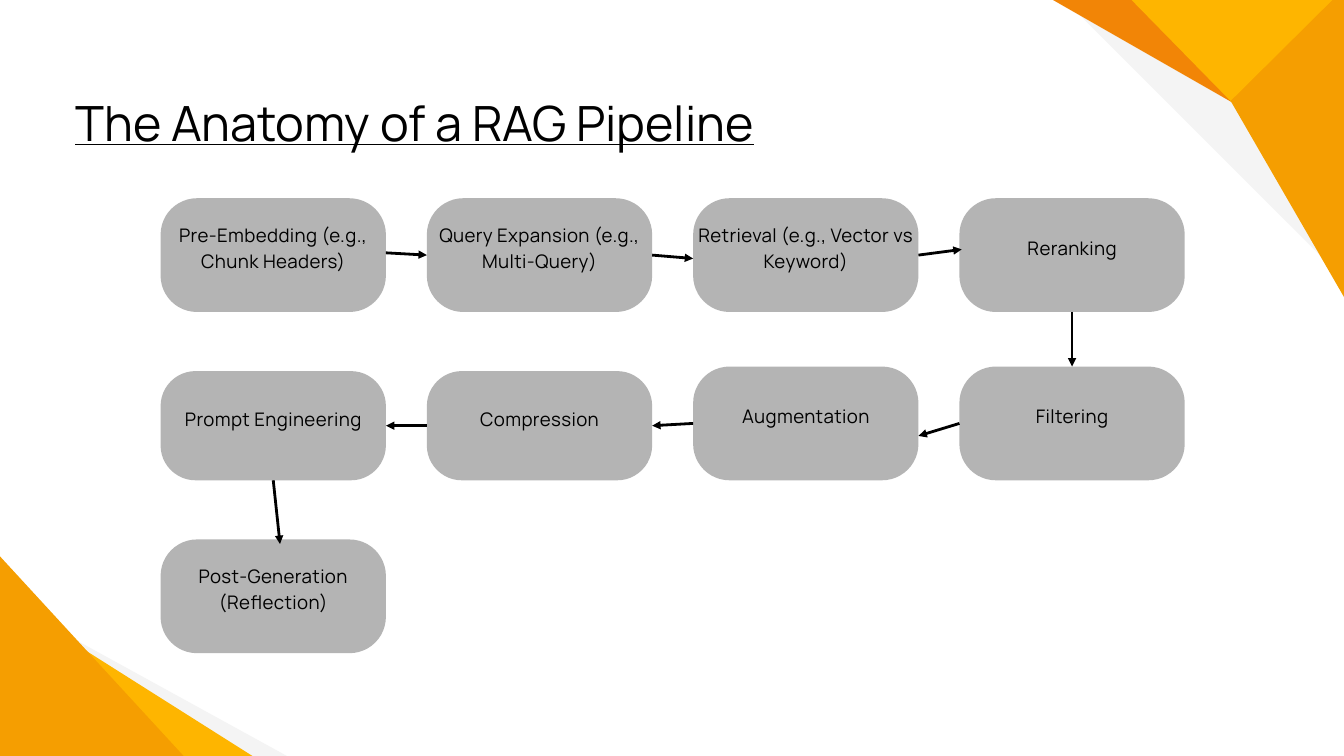
from collections import namedtuple
from lxml.etree import SubElement
from pptx import Presentation
from pptx.dml.color import RGBColor
from pptx.enum.shapes import MSO_CONNECTOR, MSO_SHAPE
from pptx.enum.text import MSO_ANCHOR, MSO_AUTO_SIZE, PP_ALIGN
from pptx.oxml.ns import qn
from pptx.util import Inches, Pt

WIDTH, HEIGHT = Inches(20), Inches(11.25)
FONT = "Manrope"
BLACK, NODE_GREY = "000000", "B4B4B4"
PALE, AMBER, ORANGE, RUST = "F4F4F4", "FEB500", "F59E01", "F28506"

TOP_RIGHT = [
    (PALE, [(0.04, 0), (1, 0), (1, 0.94)]),
    (RUST, [(0, 0), (1, 0), (1, 0.56)]),
    (ORANGE, [(0.41, 0), (1, 0), (1, 1)]),
    (AMBER, [(0.27, 0), (0.96, 0), (0.61, 0.34)]),
]
BOTTOM_LEFT = [
    (PALE, [(0, 0.21), (1, 1), (0, 1)]),
    (AMBER, [(0, 0.2), (0.88, 1), (0, 1)]),
    (ORANGE, [(0, 0), (0.64, 1), (0, 1)]),
]

COLUMN_PITCH, NODE_WIDTH = 0.26, 0.22
ROW_TOPS, NODE_HEIGHT = (0, 0.37, 0.75), 0.25
STAGES = [
    ("Pre-Embedding (e.g., Chunk Headers)", 0, 0, 0),
    ("Query Expansion (e.g., Multi-Query)", 1, 0, 0),
    ("Retrieval (e.g., Vector vs Keyword)", 2, 0, 0),
    ("Reranking", 3, 0, 0),
    ("Filtering", 3, 1, 0),
    ("Augmentation", 2, 1, 0),
    ("Compression", 1, 1, 0.01),
    ("Prompt Engineering", 0, 1, 0.01),
    ("Post-Generation (Reflection)", 0, 2, 0),
]
ARROW_ENDS = [
    ((1, 0.48), (0, 0.5)),
    ((1, 0.5), (0, 0.53)),
    ((1, 0.5), (0.01, 0.45)),
    ((0.5, 1), (0.5, 0)),
    ((0, 0.5), (1, 0.61)),
    ((0, 0.5), (1, 0.5)),
    ((0, 0.5), (1, 0.5)),
    ((0.5, 1), (0.53, 0.04)),
]


class Box(namedtuple("Box", "left top width height")):
    def point(self, across, down):
        return int(self.left + across * self.width), int(self.top + down * self.height)

    def area(self, across, down, width, height):
        return Box(*self.point(across, down), int(width * self.width), int(height * self.height))


def colour(value):
    return RGBColor.from_string(value)


def paint(shape, value):
    shape.shadow.inherit = False
    shape.fill.solid()
    shape.fill.fore_color.rgb = colour(value)
    shape.line.fill.background()


def write(frame, text, size, spacing, align, anchor, inset):
    frame.word_wrap = True
    frame.auto_size = MSO_AUTO_SIZE.NONE
    frame.vertical_anchor = anchor
    frame.margin_left = frame.margin_right = inset
    frame.margin_top = frame.margin_bottom = inset
    para = frame.paragraphs[0]
    para.text = text
    para.alignment = align
    para.line_spacing = Pt(spacing)
    para.font.name = FONT
    para.font.size = Pt(size)
    para.font.color.rgb = colour(BLACK)
    return para


def add_corner(page, box, facets):
    for fill, corners in facets:
        points = [box.point(*corner) for corner in corners]
        builder = page.shapes.build_freeform(*points[0])
        builder.add_line_segments(points[1:], close=True)
        paint(builder.convert_to_shape(), fill)


def add_title(page, box, text):
    title = page.shapes.title
    title.left, title.top, title.width, title.height = box
    para = write(title.text_frame, text, 52, 72.8, PP_ALIGN.LEFT, MSO_ANCHOR.TOP, 0)
    para.font.underline = True


def add_stage(page, box, text):
    node = page.shapes.add_shape(MSO_SHAPE.ROUNDED_RECTANGLE, *box)
    node.adjustments[0] = 0.32
    paint(node, NODE_GREY)
    label = page.shapes.add_textbox(*box.area(0, -0.16, 1, 1.16))
    para = write(label.text_frame, text, 20, 28, PP_ALIGN.CENTER, MSO_ANCHOR.MIDDLE, Inches(0.06))
    for span in para.runs:
        span.font._element.set("spc", "40")


def add_arrow(page, start, end):
    arrow = page.shapes.add_connector(MSO_CONNECTOR.STRAIGHT, *start, *end)
    arrow.line.color.rgb = colour(BLACK)
    arrow.line.width = Pt(3)
    properties = arrow._element.spPr
    SubElement(properties.find(qn("a:ln")), qn("a:tailEnd"), type="triangle")
    SubElement(properties, qn("a:effectLst"))


def add_pipeline(page, box):
    nodes = []
    for text, column, row, trim in STAGES:
        node = box.area(
            column * COLUMN_PITCH, ROW_TOPS[row] + trim, NODE_WIDTH, NODE_HEIGHT - trim
        )
        add_stage(page, node, text)
        nodes.append(node)
    for source, target, (start, end) in zip(nodes, nodes[1:], ARROW_ENDS):
        add_arrow(page, source.point(*start), target.point(*end))


def main():
    deck = Presentation()
    deck.slide_width, deck.slide_height = WIDTH, HEIGHT
    page = deck.slides.add_slide(deck.slide_layouts[5])
    grid = Box(0, 0, Inches(1), Inches(1))
    add_corner(page, grid.area(0, 8.28, 4.27, 2.97), BOTTOM_LEFT)
    add_corner(page, grid.area(15.67, 0, 4.33, 4.42), TOP_RIGHT)
    add_title(page, grid.area(1.12, 1.24, 16.79, 1.02), "The Anatomy of a RAG Pipeline")
    add_pipeline(page, grid.area(2.39, 2.95, 15.24, 6.77))
    deck.save("out.pptx")


if __name__ == "__main__":
    main()
